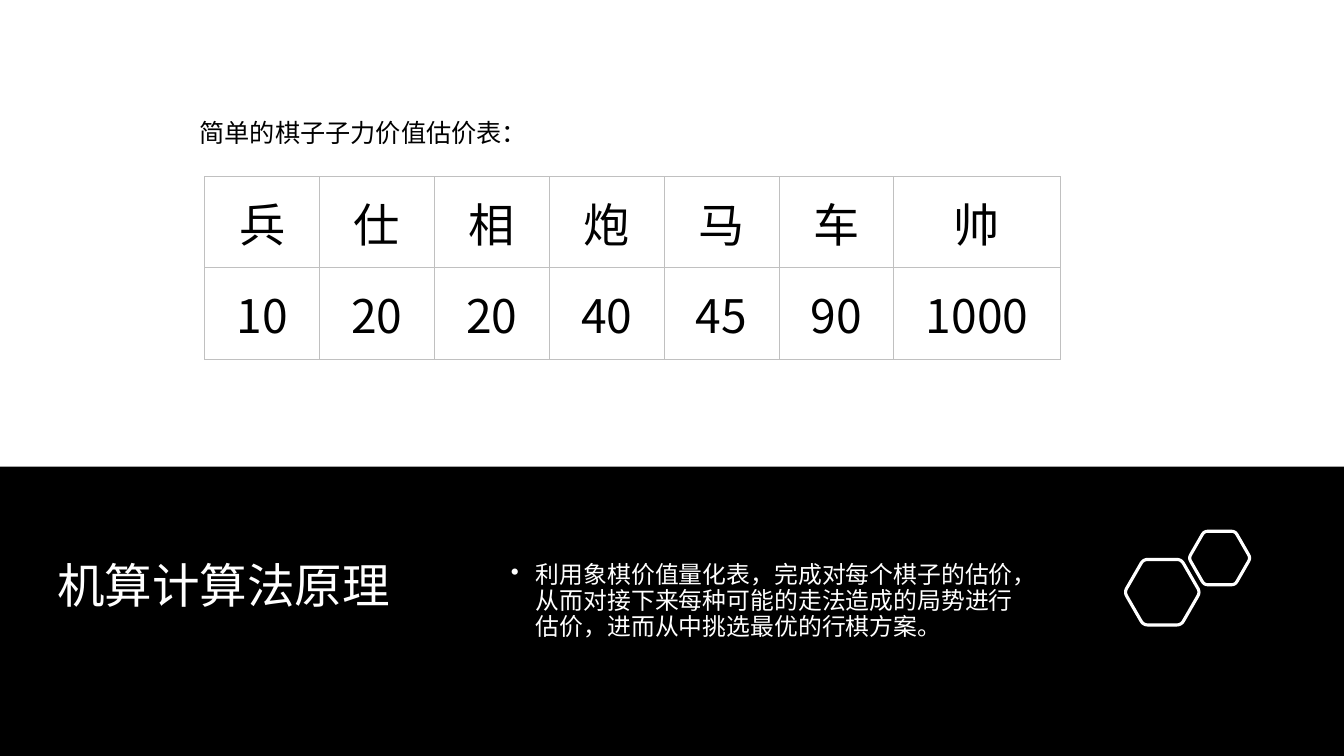
from math import cos, pi, sin, sqrt

from lxml import etree
from pptx import Presentation
from pptx.dml.color import RGBColor
from pptx.enum.shapes import MSO_SHAPE
from pptx.enum.text import MSO_ANCHOR, PP_ALIGN
from pptx.oxml.ns import qn
from pptx.util import Pt

RECTANGLE = MSO_SHAPE.RECTANGLE
MIDDLE = MSO_ANCHOR.MIDDLE
CENTER = PP_ALIGN.CENTER
FONT = "Noto Sans CJK SC"
COLORS = {"ink": "000000", "paper": "FFFFFF", "grid": "C0C0C0"}
PIECE_VALUES = {"兵": 10, "仕": 20, "相": 20, "炮": 40, "马": 45, "车": 90, "帅": 1000}


def color(name):
    """Return the named colour."""
    return RGBColor.from_string(COLORS[name])


def style(para, size, color_name):
    """Set the font of a paragraph for Latin and East Asian text."""
    para.font.size = Pt(size)
    para.font.name = FONT
    para.font.color.rgb = color(color_name)
    properties = para.font._element
    latin = properties.find(qn("a:latin"))
    east_asian = etree.Element(qn("a:ea"), typeface=FONT)
    latin.addnext(east_asian)


def add_text(page, box, text, size, color_name):
    """Add a wrapped text box and return its paragraph."""
    frame = page.shapes.add_textbox(*map(Pt, box)).text_frame
    frame.word_wrap = True
    para = frame.paragraphs[0]
    para.text = text
    style(para, size, color_name)
    return para


def add_bullet(para, indent):
    """Give a paragraph a round bullet with a hanging indent."""
    properties = para._p.get_or_add_pPr()
    properties.set("marL", str(Pt(indent)))
    properties.set("indent", str(Pt(-indent)))
    bullet = etree.Element(qn("a:buChar"), char="•")
    properties.find(qn("a:defRPr")).addprevious(bullet)


def add_borders(cell):
    """Draw the four thin grid lines of a cell."""
    properties = cell._tc.get_or_add_tcPr()
    for index, side in enumerate(("lnL", "lnR", "lnT", "lnB")):
        line = etree.Element(qn(f"a:{side}"), w=str(Pt(0.6)))
        fill = etree.SubElement(line, qn("a:solidFill"))
        etree.SubElement(fill, qn("a:srgbClr"), val=COLORS["grid"])
        properties.insert(index, line)


def add_hexagon(page, center, height):
    """Outline a regular hexagon with softly rounded corners."""
    radius = height / sqrt(3)
    corners = [(center[0] + radius * cos(step * pi / 3),
                center[1] + radius * sin(step * pi / 3)) for step in range(6)]
    points = []
    for index, corner in enumerate(corners):
        before, after = corners[index - 1], corners[(index + 1) % 6]
        for step in range(7):
            t = step / 6
            pull_before, pull_after = 0.12 * (1 - t) ** 2, 0.12 * t ** 2
            points.append(tuple(
                Pt(c + pull_before * (b - c) + pull_after * (a - c))
                for b, c, a in zip(before, corner, after)))
    builder = page.shapes.build_freeform(*points[0])
    builder.add_line_segments(points[1:], close=True)
    hexagon = builder.convert_to_shape()
    hexagon.shadow.inherit = False
    hexagon.fill.background()
    hexagon.line.color.rgb = color("paper")
    hexagon.line.width = Pt(2.25)


def add_value_table(page, box):
    """Place the caption and the table of piece values."""
    left, top, width, height = box
    add_text(page, (left - 10.8, top - 45.4, 243.4, 28.8),
             "简单的棋子子力价值估价表：", 18, "ink")
    count = len(PIECE_VALUES)
    table = page.shapes.add_table(2, count, *map(Pt, box)).table
    table.first_row = table.horz_banding = False
    last_width = 119
    for column in table.columns:
        column.width = Pt((width - last_width) / (count - 1))
    table.columns[count - 1].width = Pt(last_width)
    for row, texts in zip(table.rows, (PIECE_VALUES.keys(), PIECE_VALUES.values())):
        row.height = Pt(height / 2)
        for cell, text in zip(row.cells, texts):
            cell.text = str(text)
            cell.vertical_anchor = MIDDLE
            cell.margin_left = cell.margin_right = Pt(15)
            cell.margin_top = cell.margin_bottom = Pt(8.6)
            cell.fill.background()
            add_borders(cell)
            para = cell.text_frame.paragraphs[0]
            para.alignment = CENTER
            style(para, 33, "ink")


def add_principle_band(page, box):
    """Place the dark band with its title, explanation and hexagons."""
    left, top, width, height = box
    band = page.shapes.add_shape(RECTANGLE, *map(Pt, box))
    band.shadow.inherit = False
    band.fill.solid()
    band.fill.fore_color.rgb = color("ink")
    band.line.fill.background()
    title = add_text(page, (left + 33.8, top + 64.8, 290.2, 124.6),
                     "机算计算法原理", 34, "paper")
    title.line_spacing = 0.9
    explanation = add_text(
        page, (left + 357.8, top + 65.5, 388, 124.6),
        "利用象棋价值量化表，完成对每个棋子的估价，从而对接下来每种可能的走法"
        "造成的局势进行估价，进而从中挑选最优的行棋方案。", 17, "paper")
    explanation.line_spacing = 0.9
    explanation.space_before = Pt(10)
    add_bullet(explanation, 18)
    add_hexagon(page, (left + 830.2, top + 89.6), 46.8)
    add_hexagon(page, (left + 871.2, top + 65.2), 38.2)


def main():
    """Build the slide and save the deck."""
    deck = Presentation()
    deck.slide_width, deck.slide_height = Pt(960), Pt(540)
    page = deck.slides.add_slide(deck.slide_layouts[6])
    add_principle_band(page, (0, 333.4, 960, 206.6))
    add_value_table(page, (146.2, 126, 611.3, 130.6))
    deck.save("out.pptx")


main()
